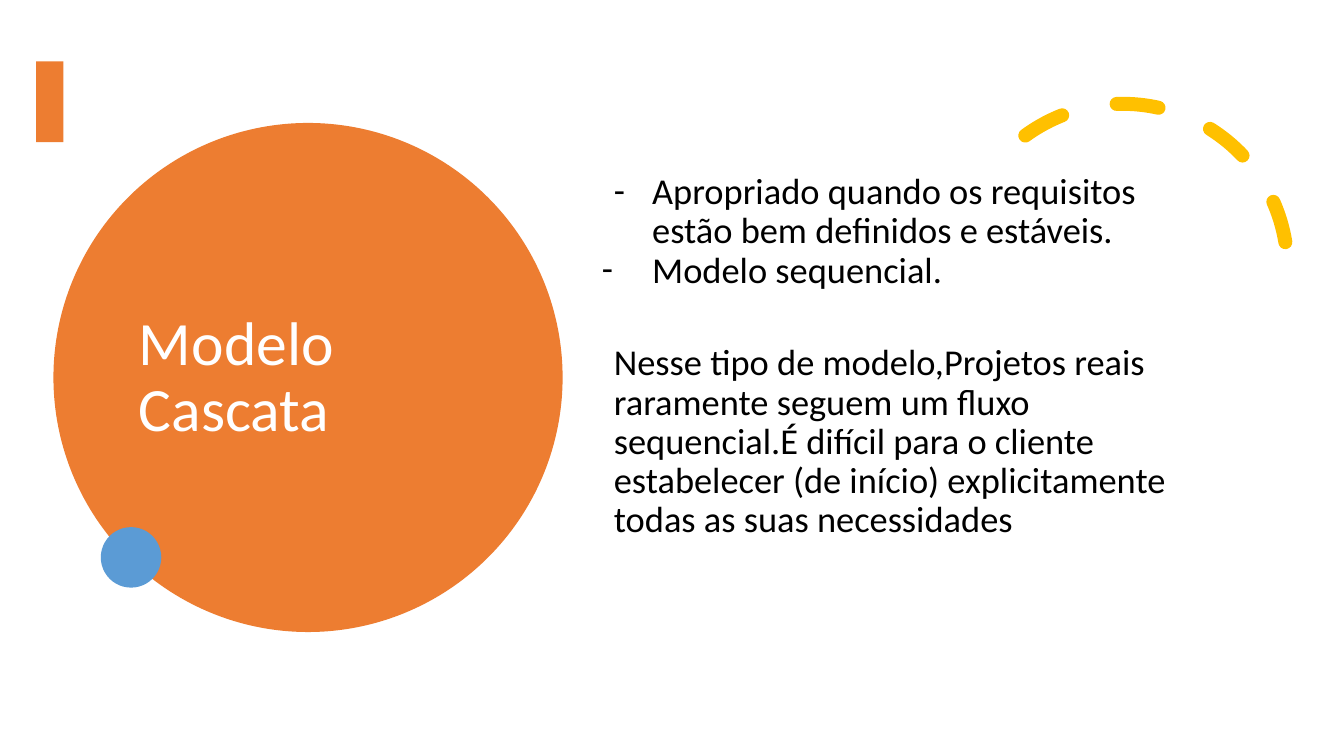
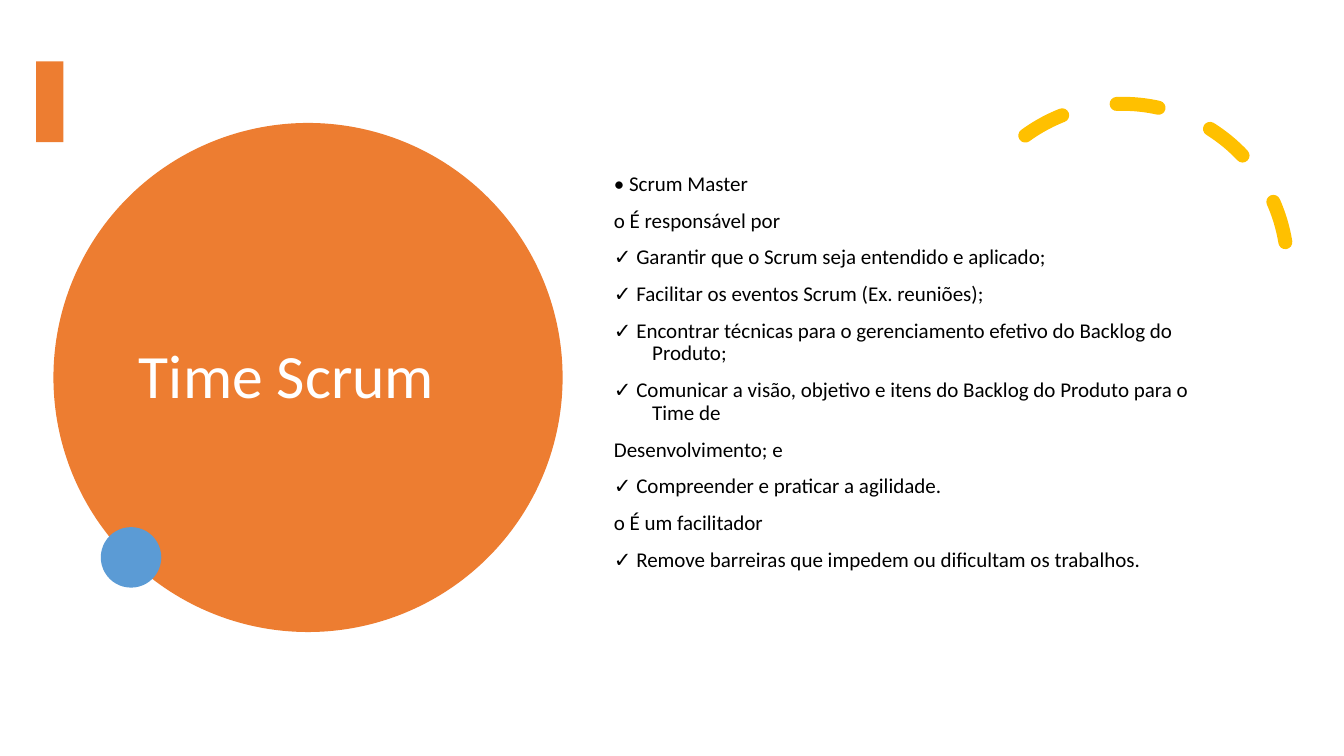
from dataclasses import dataclass

from lxml import etree
from pptx import Presentation
from pptx import util as u
from pptx.dml.color import RGBColor
from pptx.enum import dml, shapes, text
from pptx.oxml import ns


@dataclass(frozen=True)
class Theme:
    orange: str = "ED7D31"
    blue: str = "5B9BD5"
    gold: str = "FFC000"
    white: str = "FFFFFF"
    black: str = "000000"
    font: str = "Calibri"
    head: float = 44
    large: float = 26
    small: float = 15
    stroke: float = 10
    lead: float = 0.9


@dataclass(frozen=True)
class Box:
    left: float
    top: float
    width: float
    height: float

    def emu(self) -> list:
        return [u.Inches(n) for n in (self.left, self.top, self.width, self.height)]


@dataclass(frozen=True)
class Para:
    words: str
    margin: float = 0.5
    indent: float = -0.38
    before: float = 10
    bullet: str = ""


@dataclass(frozen=True)
class Page:
    title: str
    size: float
    paras: list


@dataclass(frozen=True)
class Form:
    kind: shapes.MSO_SHAPE
    box: Box
    fill: str


THEME = Theme()
HEAD = Box(1.28, 1.53, 3.54, 4.45)
BODY = Box(5.87, 1.67, 6.05, 4.3)
ARC = Box(9.5, 1.03, 3.27, 3.27)
FORMS = [
    Form(shapes.MSO_SHAPE.OVAL, Box(0.53, 1.22, 5.05, 5.05), THEME.orange),
    Form(shapes.MSO_SHAPE.OVAL, Box(1, 5.23, 0.6, 0.6), THEME.blue),
    Form(shapes.MSO_SHAPE.RECTANGLE, Box(0.36, 0.61, 0.27, 0.8), THEME.orange),
]

ROLES = [
    "• Scrum Master",
    "o É responsável por",
    "✓ Garantir que o Scrum seja entendido e aplicado;",
    "✓ Facilitar os eventos Scrum (Ex. reuniões);",
    "✓ Encontrar técnicas para o gerenciamento efetivo do Backlog do Produto;",
    "✓ Comunicar a visão, objetivo e itens do Backlog do Produto para o Time de",
    "Desenvolvimento; e",
    "✓ Compreender e praticar a agilidade.",
    "o É um facilitador",
    "✓ Remove barreiras que impedem ou dificultam os trabalhos.",
]
PAGES = [
    Page("Modelo Cascata", THEME.large, [
        Para("Apropriado quando os requisitos estão bem definidos e estáveis.", bullet="-"),
        Para("Modelo sequencial.", indent=-0.5, before=0, bullet="-"),
        Para("Nesse tipo de modelo,Projetos reais raramente seguem um fluxo "
             "sequencial.É difícil para o cliente estabelecer (de início) "
             "explicitamente todas as suas necessidades",
             margin=0.12, indent=0, before=38),
    ]),
    Page("Time Scrum", THEME.small, [Para(role) for role in ROLES]),
]


def paint(slide, form: Form) -> None:
    """Draw a plain filled shape."""
    shape = slide.shapes.add_shape(form.kind, *form.box.emu())
    shape.shadow.inherit = False
    shape.fill.solid()
    shape.fill.fore_color.rgb = RGBColor.from_string(form.fill)
    shape.line.fill.background()


def sweep(slide) -> None:
    """Draw the dashed arc with round caps."""
    arc = slide.shapes.add_shape(shapes.MSO_SHAPE.ARC, *ARC.emu())
    arc.shadow.inherit = False
    arc.adjustments[0], arc.adjustments[1] = 158.17, 17.81
    arc.rotation = 330.2
    arc.fill.background()
    arc.line.color.rgb = RGBColor.from_string(THEME.gold)
    arc.line.width = u.Pt(THEME.stroke)
    arc.line.dash_style = dml.MSO_LINE.DASH
    arc.line._get_or_add_ln().set("cap", "rnd")


def mark(props, sign: str) -> None:
    """Add a black bullet sign to a paragraph."""
    tint = etree.SubElement(props, ns.qn("a:buClr"))
    etree.SubElement(tint, ns.qn("a:srgbClr"), val=THEME.black)
    etree.SubElement(props, ns.qn("a:buFont"), typeface=THEME.font)
    etree.SubElement(props, ns.qn("a:buChar"), char=sign)


def write(slide, box: Box, paras: list, size: float, color: str,
          anchor: text.MSO_ANCHOR) -> None:
    """Fill a text box with styled paragraphs."""
    frame = slide.shapes.add_textbox(*box.emu()).text_frame
    frame.word_wrap = True
    frame.vertical_anchor = anchor
    frame.text = "\n".join(para.words for para in paras)
    for line, para in zip(frame.paragraphs, paras):
        line.line_spacing = THEME.lead
        line.space_before = u.Pt(para.before)
        props = line._p.get_or_add_pPr()
        props.set("marL", str(u.Inches(para.margin)))
        props.set("indent", str(u.Inches(para.indent)))
        if para.bullet:
            mark(props, para.bullet)
        for run in line.runs:
            run.font.name = THEME.font
            run.font.size = u.Pt(size)
            run.font.color.rgb = RGBColor.from_string(color)


def build(deck, page: Page) -> None:
    """Draw one slide: shared shapes, then title and body."""
    slide = deck.slides.add_slide(deck.slide_layouts[6])
    for form in FORMS:
        paint(slide, form)
    sweep(slide)
    title = Para(page.title, margin=0, indent=0, before=0)
    write(slide, HEAD, [title], THEME.head, THEME.white, text.MSO_ANCHOR.MIDDLE)
    write(slide, BODY, page.paras, page.size, THEME.black, text.MSO_ANCHOR.TOP)


def main() -> None:
    deck = Presentation()
    deck.slide_width, deck.slide_height = u.Inches(13.33), u.Inches(7.5)
    for page in PAGES:
        build(deck, page)
    deck.save("out.pptx")


if __name__ == "__main__":
    main()
